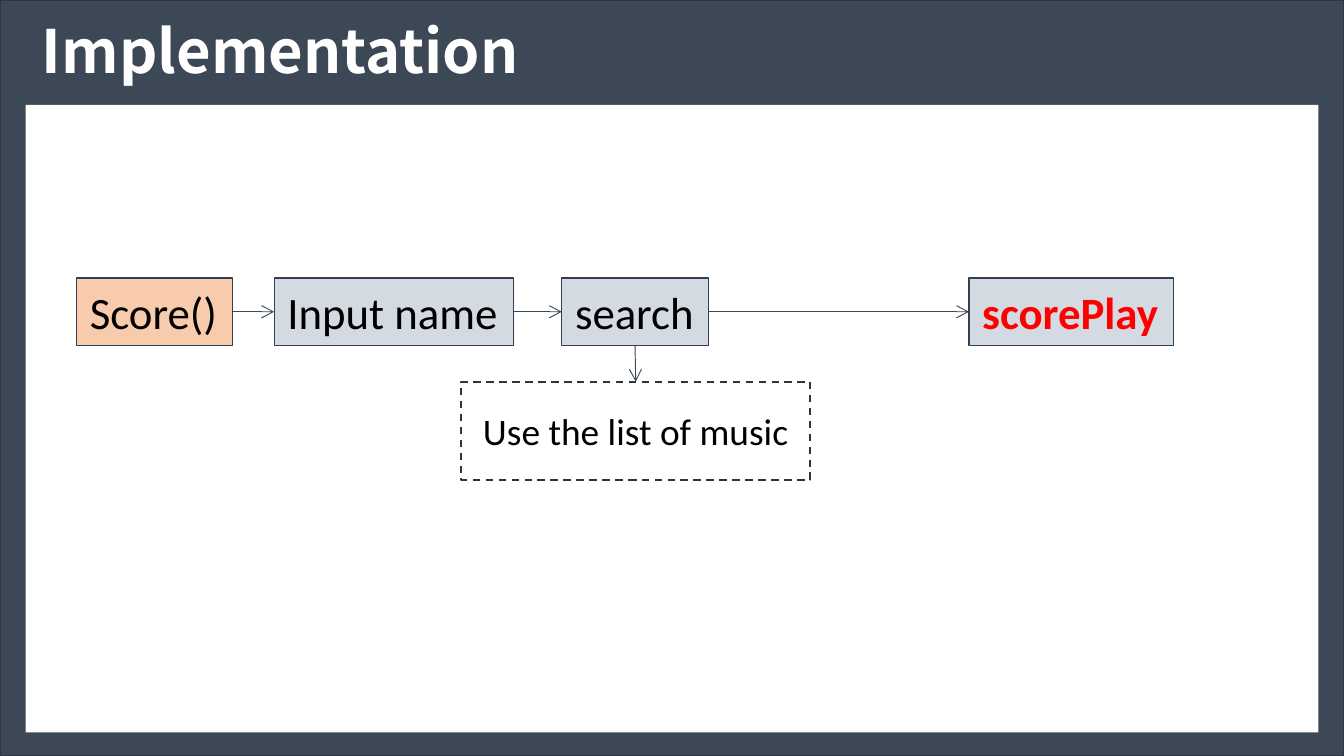
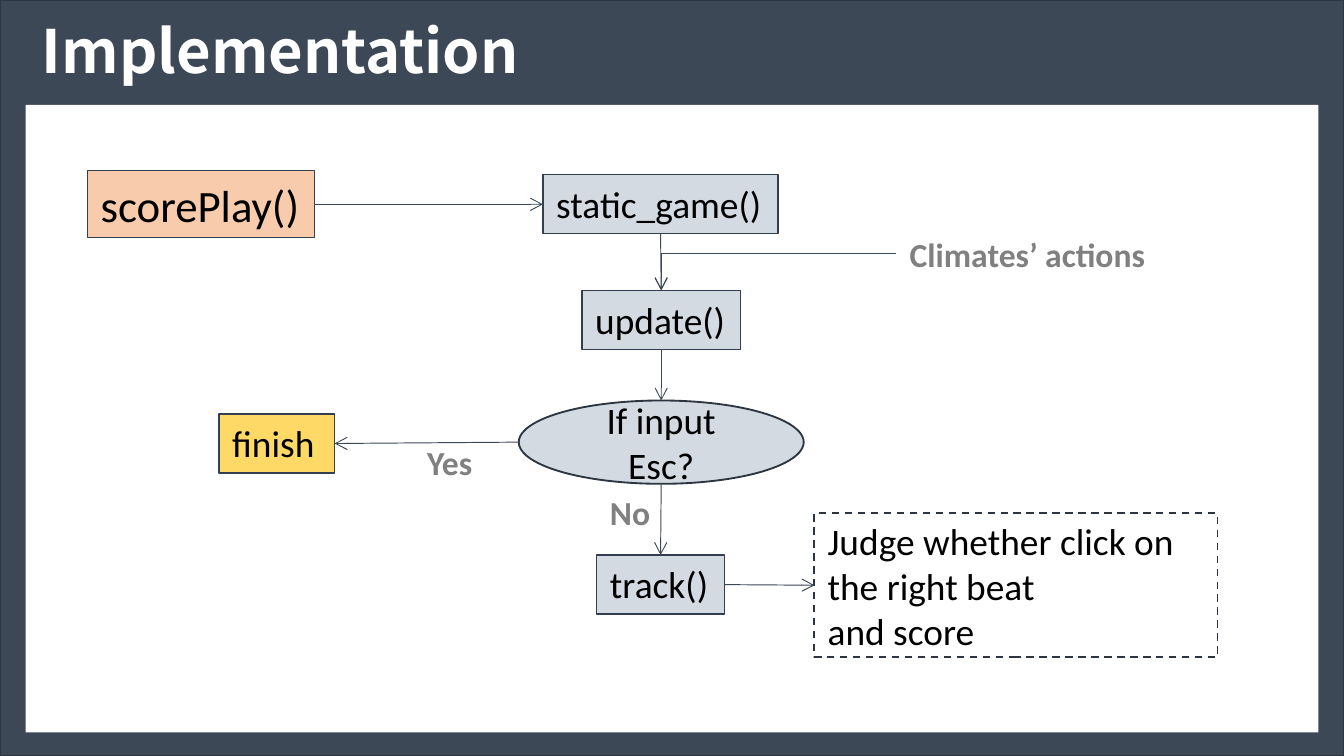
from itertools import pairwise

from lxml import etree
from pptx import Presentation
from pptx.dml.color import RGBColor
from pptx.enum.dml import MSO_LINE
from pptx.enum.shapes import MSO_CONNECTOR, MSO_SHAPE
from pptx.enum.text import MSO_ANCHOR, MSO_AUTO_SIZE, PP_ALIGN
from pptx.oxml.ns import qn
from pptx.util import Inches, Pt

RECT, OVAL = MSO_SHAPE.RECTANGLE, MSO_SHAPE.OVAL
STRAIGHT, ELBOW = MSO_CONNECTOR.STRAIGHT, MSO_CONNECTOR.ELBOW
LEFT_ALIGN, CENTER = PP_ALIGN.LEFT, PP_ALIGN.CENTER
TOP_ANCHOR, MIDDLE = MSO_ANCHOR.TOP, MSO_ANCHOR.MIDDLE
NO_FIT, GROW = MSO_AUTO_SIZE.NONE, MSO_AUTO_SIZE.SHAPE_TO_FIT_TEXT
DASH = MSO_LINE.DASH
TOP, LEFT, BOTTOM, RIGHT = range(4)
COLUMNS = 100
TITLE_ONLY = 5
COLORS = {
    "slate": "3C4856", "edge": "2C3540", "rule": "333F50", "paper": "FFFFFF",
    "start": "F8CBAD", "step": "D4DAE1", "end": "FFD966",
    "ink": "000000", "alert": "FF0000", "muted": "808080",
}


class FlowDeck:
    """Holds the deck style and the slide being drawn."""

    body_font = "Calibri"
    title_font = "Noto Sans CJK SC"

    def __init__(self):
        """Open a widescreen deck with a square grid."""
        self.deck = Presentation()
        self.deck.slide_width = Inches(10)
        self.deck.slide_height = self.deck.slide_width * 9 // 16
        self.unit = self.deck.slide_width // COLUMNS
        self.rows = self.deck.slide_height / self.unit
        self.layout = self.deck.slide_layouts[TITLE_ONLY]
        self.slide = None

    def color(self, name):
        """Look up a palette colour."""
        return RGBColor.from_string(COLORS[name])

    def grid(self, *cells):
        """Turn grid columns and rows into lengths."""
        return [round(cell * self.unit) for cell in cells]

    def frame(self):
        """Put the dark frame and white panel on the shared layout."""
        backdrop = self.shape(RECT, (0, 0, COLUMNS, self.rows), "slate", "edge", 1)
        panel = self.shape(RECT, (1.9, 7.8, 96.2, 46.7), "paper")
        for depth, part in enumerate((backdrop, panel), start=2):
            self.layout.shapes.element.insert(depth, part.element)

    def new_slide(self, title):
        """Start a slide and fill its title placeholder."""
        first = self.slide is None
        self.slide = self.deck.slides.add_slide(self.layout)
        if first:
            self.frame()
        heading = self.slide.shapes.title
        heading.left, heading.top, heading.width, heading.height = self.grid(2.1, 0.3, 86.2, 7.5)
        self.put_text(heading, [title], 32, "paper", True, anchor=MIDDLE, font=self.title_font)
        heading.text_frame.paragraphs[0].line_spacing = 0.9

    def put_text(self, holder, lines, size, color="ink", bold=False, align=LEFT_ALIGN,
                 anchor=TOP_ANCHOR, wrap=True, fit=NO_FIT, font=body_font):
        """Set one paragraph per line in a shape."""
        frame = holder.text_frame
        frame.word_wrap, frame.auto_size, frame.vertical_anchor = wrap, fit, anchor
        for index, line in enumerate(lines):
            paragraph = frame.add_paragraph() if index else frame.paragraphs[0]
            paragraph.alignment = align
            run = paragraph.add_run()
            run.text = line
            run.font.name, run.font.size, run.font.bold = font, Pt(size), bold
            run.font.color.rgb = self.color(color)

    def shape(self, kind, cells, fill, edge=None, weight=0.75):
        """Draw a flat preset shape."""
        shape = self.slide.shapes.add_shape(kind, *self.grid(*cells))
        shape.shadow.inherit = False
        shape.fill.solid()
        shape.fill.fore_color.rgb = self.color(fill)
        if edge:
            shape.line.color.rgb = self.color(edge)
            shape.line.width = Pt(weight)
        else:
            shape.line.fill.background()
        return shape

    def step(self, text, cells, fill="step", size=20, color="ink", bold=False, wrap=False):
        """Draw a box for one call or step."""
        box = self.shape(RECT, cells, fill, "rule")
        self.put_text(box, [text], size, color, bold, wrap=wrap, fit=GROW)
        return box

    def decision(self, text, cells):
        """Draw an ellipse holding a question."""
        oval = self.shape(OVAL, cells, "step", "edge", 1)
        self.put_text(oval, [text], 20, align=CENTER, anchor=MIDDLE)
        return oval

    def remark(self, lines, cells, align=LEFT_ALIGN):
        """Draw a dashed box with an explanation."""
        box = self.shape(RECT, cells, "paper", "edge", 1)
        box.line.dash_style = DASH
        self.put_text(box, lines, 20, align=align, anchor=MIDDLE)
        return box

    def label(self, text, cells):
        """Put a grey label beside the flow."""
        box = self.slide.shapes.add_textbox(*self.grid(*cells))
        self.put_text(box, [text], 18, "muted", True, wrap=False, fit=GROW)
        return box

    def arrow(self, source, source_side, target, target_side, kind=STRAIGHT, single_bend=False):
        """Connect two elements with an open arrowhead at the target."""
        link = self.slide.shapes.add_connector(kind, 0, 0, 0, 0)
        link.begin_connect(source, source_side)
        link.end_connect(target, target_side)
        for tag, element in (("a:stCxn", source), ("a:endCxn", target)):
            if element.element.find(".//" + qn("a:prstGeom")).get("prst") == "ellipse":
                site = link.element.find(".//" + qn(tag))
                site.set("idx", str(2 * int(site.get("idx"))))
        if single_bend:
            link.element.find(".//" + qn("a:prstGeom")).set("prst", "bentConnector2")
        link.line.color.rgb = self.color("slate")
        link.line.width = Pt(0.5)
        properties = link.element.find(qn("p:spPr"))
        etree.SubElement(properties.find(qn("a:ln")), qn("a:tailEnd"), type="arrow")
        etree.SubElement(properties, qn("a:effectLst"))


def score_slide(deck):
    """Show how a score is chosen."""
    deck.new_slide("Implementation")
    row, height = 20.7, 5
    lookup = deck.remark(["Use the list of music"], (34.3, 28.4, 26, 7.3), CENTER)
    score = deck.step("Score()", (5.7, row, 11.6, height), "start", 24)
    name = deck.step("Input name", (20.4, row, 17.8, height), size=24)
    search = deck.step("search", (41.8, row, 10.9, height), size=24)
    play = deck.step("scorePlay", (72.1, row, 15.2, height), size=24, color="alert", bold=True)
    for source, target in pairwise((score, name, search, play)):
        deck.arrow(source, RIGHT, target, LEFT)
    deck.arrow(search, BOTTOM, lookup, TOP)


def play_slide(deck):
    """Show the game loop behind playing a score."""
    deck.new_slide("Implementation")
    height = 4.4
    play = deck.step("scorePlay()", (6.5, 12.7, 16.9, 5), "start", 24)
    game = deck.step("static_game()", (40.4, 13, 17.5, height))
    update = deck.step("update()", (43.3, 21.6, 11.8, height))
    actions = deck.label("Climates’ actions", (66.7, 16.9, 22.2, 4))
    escape = deck.decision("If input Esc?", (38.6, 29.8, 21.2, 6.2))
    finish = deck.step("finish", (16.3, 30.8, 8.6, height), "end", wrap=True)
    track = deck.step("track()", (44.4, 41.3, 9.5, height), wrap=True)
    judge = deck.remark(["Judge whether click on the right beat", "and score"],
                        (60.6, 38.2, 30, 10.7))
    deck.label("No", (44.4, 36.1, 5.4, 4))
    deck.label("Yes", (30.8, 32.4, 6.1, 4))
    deck.arrow(play, RIGHT, game, LEFT, ELBOW)
    deck.arrow(actions, LEFT, update, TOP, ELBOW, single_bend=True)
    for source, target in pairwise((game, update, escape, track)):
        deck.arrow(source, BOTTOM, target, TOP)
    deck.arrow(escape, LEFT, finish, RIGHT)
    deck.arrow(track, RIGHT, judge, LEFT)


def main():
    """Build and save the deck."""
    deck = FlowDeck()
    score_slide(deck)
    play_slide(deck)
    deck.deck.save("out.pptx")


main()
